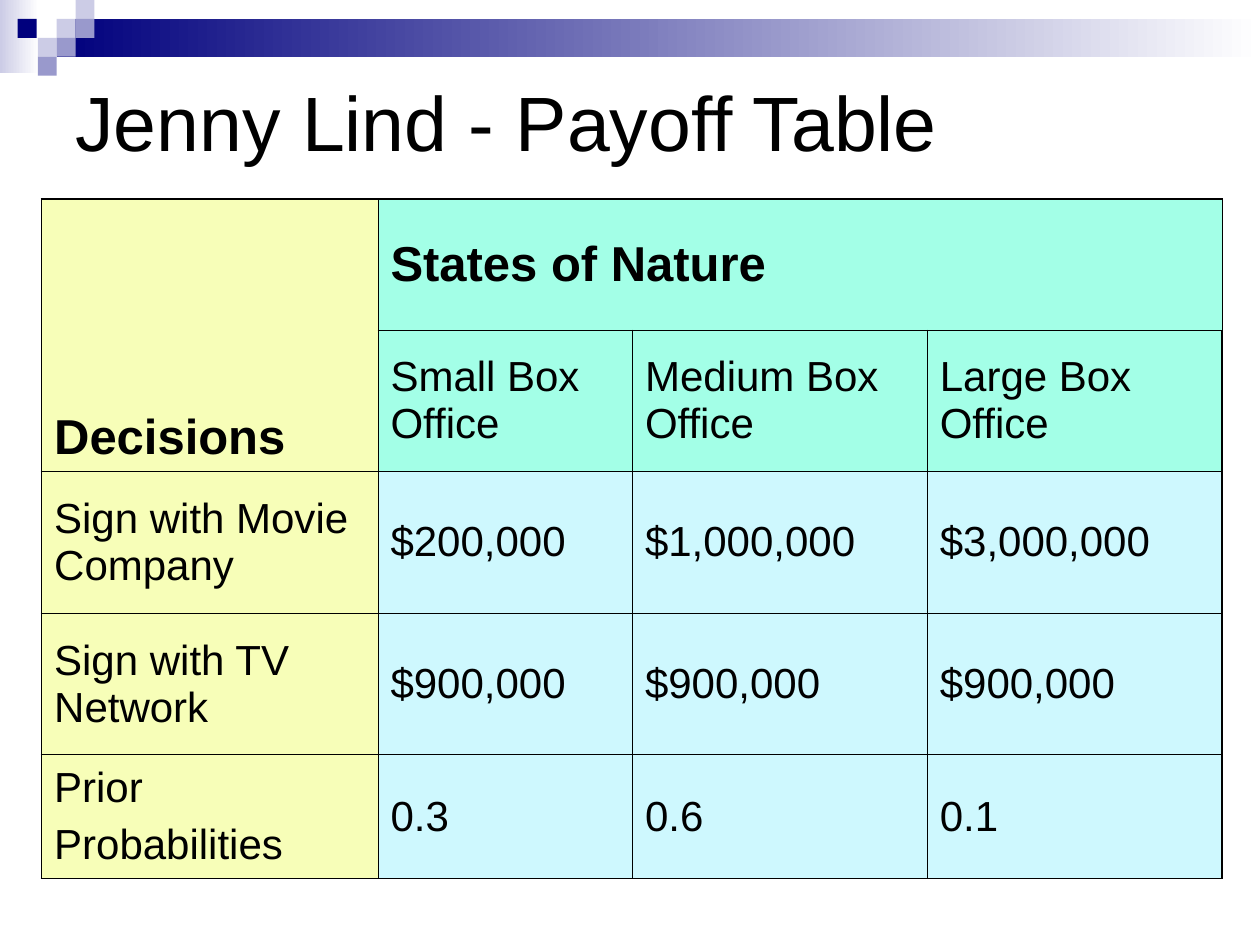
from lxml.etree import SubElement
from pptx import Presentation
from pptx.dml.color import RGBColor
from pptx.enum.shapes import MSO_SHAPE
from pptx.enum.text import MSO_ANCHOR
from pptx.oxml.ns import qn
from pptx.util import Inches, Pt

BLACK = RGBColor(0x00, 0x00, 0x00)
WHITE = RGBColor(0xFF, 0xFF, 0xFF)
NAVY = RGBColor(0x00, 0x00, 0x7D)
LILAC = RGBColor(0xCC, 0xCC, 0xE6)
VIOLET = RGBColor(0x99, 0x99, 0xCC)
YELLOW = RGBColor(0xF7, 0xFE, 0xB8)
MINT = RGBColor(0xA3, 0xFF, 0xE7)
SKY = RGBColor(0xCE, 0xF8, 0xFE)

FONT = "Arial"
SQUARE = 0.15
SQUARES = [
    (0.45, 0.15, LILAC),
    (0.6, 0, LILAC),
    (0.6, 0.15, VIOLET),
    (0.3, 0.3, LILAC),
    (0.14, 0.15, NAVY),
    (0.45, 0.3, VIOLET),
    (0.3, 0.45, VIOLET),
]
COL_WIDTHS = [2.67, 2.02, 2.34, 2.34]
ROW_HEIGHTS = [1.04, 1.12, 1.13, 1.12, 0.98]
PAYOFFS = [
    ["Decisions", "States of Nature", "", ""],
    ["", "Small Box Office", "Medium Box Office", "Large Box Office"],
    ["Sign with Movie Company", "$200,000", "$1,000,000", "$3,000,000"],
    ["Sign with TV Network", "$900,000", "$900,000", "$900,000"],
    ["Prior\nProbabilities", "0.3", "0.6", "0.1"],
]


def add_block(s, x, y, w, h, color, fade=False):
    """Add a borderless rectangle, optionally fading to white at the right."""
    sp = s.shapes.add_shape(
        MSO_SHAPE.RECTANGLE, Inches(x), Inches(y), Inches(w), Inches(h))
    sp.shadow.inherit = False
    sp.line.fill.background()
    if fade:
        sp.fill.gradient()
        sp.fill.gradient_angle = 0
        for stop, stop_color in zip(sp.fill.gradient_stops, (color, WHITE)):
            stop.color.rgb = stop_color
    else:
        sp.fill.solid()
        sp.fill.fore_color.rgb = color


def add_banner(s, x, y, w):
    """Add the fading bars and the mosaic of squares along the top."""
    add_block(s, x, y, 0.31, 0.58, LILAC, fade=True)
    add_block(s, x + 0.45, y + 0.15, w - 0.45, 0.3, NAVY, fade=True)
    for dx, dy, color in SQUARES:
        add_block(s, x + dx, y + dy, SQUARE, SQUARE, color)


def add_title(s, x, y, w, h, text):
    """Add the slide title, centred vertically in its box."""
    tf = s.shapes.add_textbox(
        Inches(x), Inches(y), Inches(w), Inches(h)).text_frame
    tf.word_wrap = True
    tf.vertical_anchor = MSO_ANCHOR.MIDDLE
    p = tf.paragraphs[0]
    p.text = text
    p.font.name = FONT
    p.font.size = Pt(44)
    p.font.color.rgb = BLACK


def set_borders(cell, widths):
    """Draw black cell borders from a mapping of side to width in points."""
    tcPr = cell._tc.get_or_add_tcPr()
    for i, (side, width) in enumerate(widths.items()):
        ln = tcPr.makeelement(qn(f"a:ln{side}"), {"w": str(Pt(width))})
        fill = SubElement(ln, qn("a:solidFill"))
        SubElement(fill, qn("a:srgbClr"), val=str(BLACK))
        tcPr.insert(i, ln)


def style_cell(cell, color, heading):
    """Fill a cell and format its text as a heading or as body text."""
    cell.fill.solid()
    cell.fill.fore_color.rgb = color
    cell.vertical_anchor = MSO_ANCHOR.MIDDLE
    for p in cell.text_frame.paragraphs:
        p.space_before = Pt(7 if heading else 6)
        p.font.name = FONT
        p.font.size = Pt(28 if heading else 24)
        p.font.bold = heading
        p.font.color.rgb = BLACK


def add_payoff_table(s, x, y, w, h):
    """Add the payoff table with its merged headings."""
    n_rows, n_cols = len(PAYOFFS), len(COL_WIDTHS)
    table = s.shapes.add_table(
        n_rows, n_cols, Inches(x), Inches(y), Inches(w), Inches(h)).table
    for col, width in zip(table.columns, COL_WIDTHS):
        col.width = Inches(width)
    for row, height in zip(table.rows, ROW_HEIGHTS):
        row.height = Inches(height)
    for r, texts in enumerate(PAYOFFS):
        for c, text in enumerate(texts):
            cell = table.cell(r, c)
            cell.text = text
            color = YELLOW if c == 0 else MINT if r < 2 else SKY
            style_cell(cell, color, heading=r == 0)
            outer = {"L": c == 0, "R": c == n_cols - 1,
                     "T": r == 0, "B": r == n_rows - 1}
            set_borders(cell, {side: 1.08 if edge else 0.45
                               for side, edge in outer.items()})
    table.cell(0, 0).merge(table.cell(1, 0))
    table.cell(0, 1).merge(table.cell(0, n_cols - 1))
    table.cell(0, 0).vertical_anchor = MSO_ANCHOR.BOTTOM


def main():
    """Build and save the slide."""
    prs = Presentation()
    prs.slide_width, prs.slide_height = Inches(10), Inches(7.5)
    s = prs.slides.add_slide(prs.slide_layouts[6])
    add_banner(s, 0, 0, 10)
    add_title(s, 0.5, 0.5, 9, 0.92, "Jenny Lind - Payoff Table")
    add_payoff_table(s, 0.33, 1.58, sum(COL_WIDTHS), sum(ROW_HEIGHTS))
    prs.save("out.pptx")


if __name__ == "__main__":
    main()
